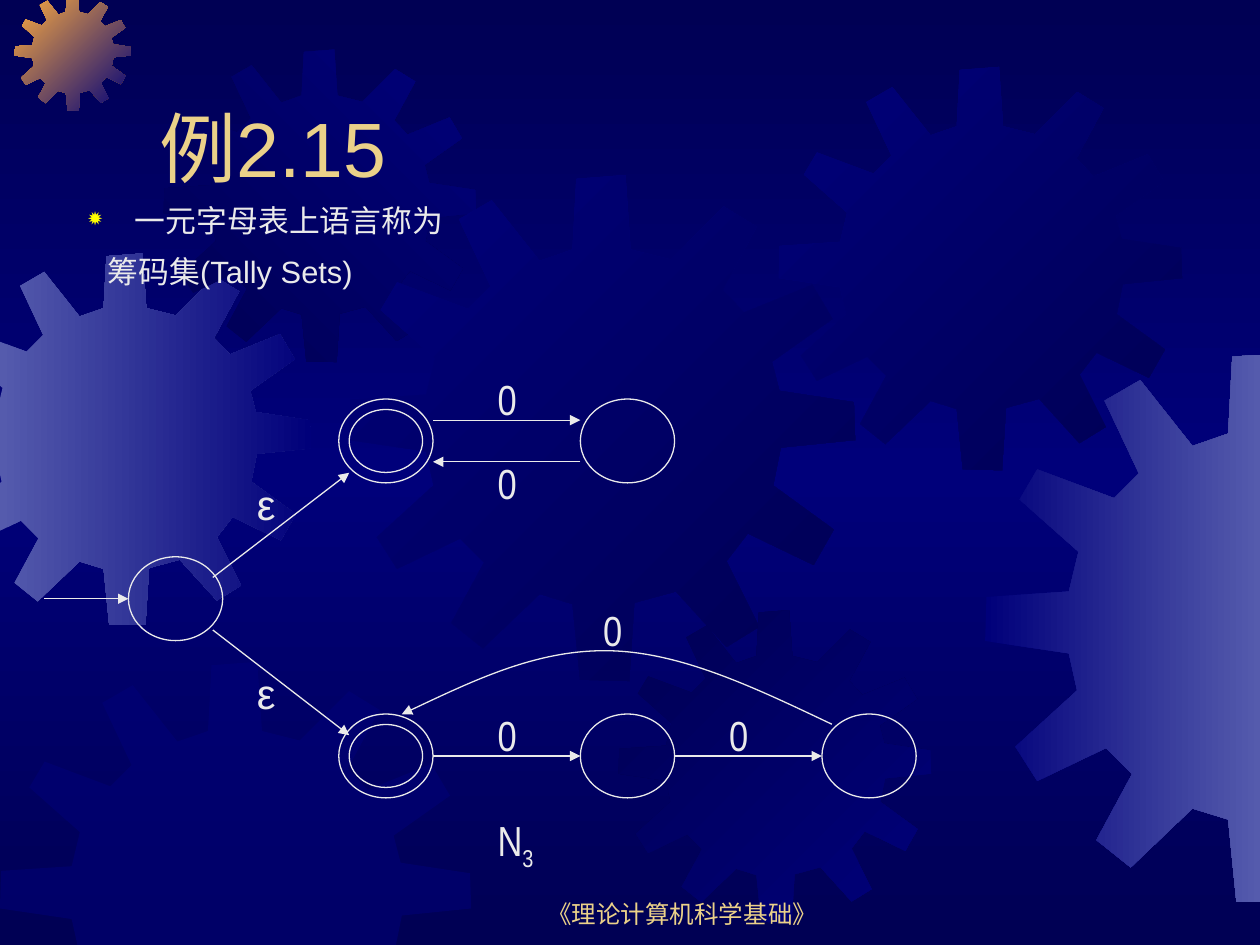
from dataclasses import dataclass

from lxml import etree
from pptx import Presentation
from pptx import util as u
from pptx.dml.color import RGBColor
from pptx.enum import shapes, text
from pptx.oxml.ns import qn

Cm = u.Cm
WIDTH, HEIGHT = 25.4, 19.05

# Gear outline in units of 1/401 of its size
GEAR_UNITS = 401
GEAR = [
    (255, 67), (223, 59), (219, 0), (180, 3), (177, 59), (151, 68), (113, 20), (87, 35),
    (112, 88), (94, 106), (38, 85), (25, 107), (68, 145), (61, 174), (1, 178), (0, 210),
    (61, 219), (67, 246), (22, 287), (38, 312), (88, 288), (107, 307), (81, 355), (106, 375),
    (151, 332), (177, 340), (183, 400), (222, 401), (226, 339), (259, 330), (299, 374), (325, 358),
    (299, 306), (316, 284), (368, 309), (384, 281), (336, 246), (342, 216), (401, 210), (400, 180),
    (341, 171), (335, 148), (383, 114), (367, 87), (313, 109), (296, 91), (323, 41), (297, 25),
]


@dataclass(frozen=True)
class Theme:
    night: str = "000054"
    blue: str = "00007A"
    haze: str = "555BAD"
    orange: str = "FCAB40"
    gold: str = "EBD189"
    ink: str = "EAEAEA"
    bullet: str = "FFFF00"
    font: str = "Arial"
    narrow: str = "Arial Narrow"
    title: float = 44
    label: float = 24
    body: float = 17.6
    footer: float = 14
    line: float = 0.75


def clip(points, axis, limit, sign):
    """Keep the part of a polygon where sign * (coordinate - limit) >= 0."""
    kept = []
    for a, b in zip(points, points[1:] + points[:1]):
        da, db = sign * (a[axis] - limit), sign * (b[axis] - limit)
        if da >= 0:
            kept.append(a)
        if da * db < 0:
            t = da / (da - db)
            kept.append(tuple(p + t * (q - p) for p, q in zip(a, b)))
    return kept


class Deck:
    def __init__(self, theme):
        self.theme = theme
        self.prs = Presentation()
        self.prs.slide_width, self.prs.slide_height = Cm(WIDTH), Cm(HEIGHT)
        self.slide = self.prs.slides.add_slide(self.prs.slide_layouts[6])
        self.shapes = self.slide.shapes

    def gradient(self, fill, colours, angle):
        fill.gradient()
        fill.gradient_angle = -angle % 360
        for stop, colour, position in zip(fill.gradient_stops, colours, (0, 1)):
            stop.color.rgb = RGBColor.from_string(colour)
            stop.position = position

    def background(self, edge, middle):
        self.gradient(self.slide.background.fill, (edge, edge), 90)
        stops = self.slide.element.find(".//" + qn("a:gsLst"))
        centre = etree.Element(qn("a:gs"), pos="50000")
        etree.SubElement(centre, qn("a:srgbClr"), val=middle)
        stops.insert(1, centre)

    def outline(self, points, close):
        emu = [(Cm(x), Cm(y)) for x, y in points]
        builder = self.shapes.build_freeform(*emu[0], scale=1.0)
        builder.add_line_segments(emu[1:], close=close)
        shape = builder.convert_to_shape()
        shape.shadow.inherit = False
        return shape

    def gear(self, left, top, size, colours, angle=0):
        scale = size / GEAR_UNITS
        points = [(left + x * scale, top + y * scale) for x, y in GEAR]
        for axis, limit, sign in ((0, 0, 1), (0, WIDTH, -1), (1, 0, 1), (1, HEIGHT, -1)):
            points = clip(points, axis, limit, sign)
        gear = self.outline(points, True)
        gear.line.fill.background()
        if len(colours) == 2:
            self.gradient(gear.fill, colours, angle)
        else:  # one colour: half transparent
            gear.fill.solid()
            gear.fill.fore_color.rgb = RGBColor.from_string(colours[0])
            colour = gear.element.spPr.find(".//" + qn("a:srgbClr"))
            etree.SubElement(colour, qn("a:alpha"), val="50000")

    def stroke(self, shape, arrow=False):
        shape.line.color.rgb = RGBColor.from_string(self.theme.ink)
        shape.line.width = u.Pt(self.theme.line)
        if arrow:
            line = shape.element.spPr.find(qn("a:ln"))
            etree.SubElement(line, qn("a:tailEnd"), type="triangle")

    def ring(self, x, y, width, height):
        ring = self.shapes.add_shape(shapes.MSO_SHAPE.OVAL, Cm(x - width / 2), Cm(y - height / 2),
                                     Cm(width), Cm(height))
        ring.shadow.inherit = False
        ring.fill.background()
        self.stroke(ring)

    def state(self, x, y, accepting=False):
        self.ring(x, y, 1.9, 1.69)
        if accepting:
            self.ring(x, y, 1.48, 1.27)

    def arrow(self, x1, y1, x2, y2):
        arrow = self.shapes.add_connector(shapes.MSO_CONNECTOR.STRAIGHT, Cm(x1), Cm(y1), Cm(x2), Cm(y2))
        self.stroke(arrow, arrow=True)
        etree.SubElement(arrow.element.spPr, qn("a:effectLst"))

    def curved_arrow(self, points):
        """Start point, then three Bézier points for each piece."""
        curve = self.outline(points, False)
        curve.fill.background()
        self.stroke(curve, arrow=True)
        path = curve.element.spPr.find(".//" + qn("a:path"))
        segments = path.findall(qn("a:lnTo"))
        for i in range(0, len(segments), 3):
            bezier = etree.SubElement(path, qn("a:cubicBezTo"))
            for segment in segments[i:i + 3]:
                bezier.append(segment[0])
                path.remove(segment)

    def text(self, box, lines, size, colour, font=None, anchor=text.MSO_ANCHOR.TOP,
             align=text.PP_ALIGN.LEFT):
        frame = self.shapes.add_textbox(*map(Cm, box)).text_frame
        frame.word_wrap = True
        frame.vertical_anchor = anchor
        frame.text = "\n".join(lines)
        for paragraph in frame.paragraphs:
            paragraph.alignment = align
            for run in paragraph.runs:
                self.style(run, size, colour, font)
        return frame

    def style(self, run, size, colour, font=None):
        run.font.size = u.Pt(size)
        run.font.name = font or self.theme.font
        run.font.color.rgb = RGBColor.from_string(colour)

    def label(self, x, y, symbol, subscript=None, font=None, width=1.27):
        t = self.theme
        font = font or t.narrow
        frame = self.text((x, y, width, 1.27), [symbol], t.label, t.ink, font)
        if subscript:
            run = frame.paragraphs[0].add_run()
            run.text = subscript
            self.style(run, t.label, t.ink, font)
            run.font._element.set("baseline", "-25000")

    def body(self, box, lines):
        t = self.theme
        first, second = self.text(box, lines, t.body, t.ink).paragraphs
        props = first._p.get_or_add_pPr()
        props.set("marL", str(Cm(0.95)))
        props.set("indent", str(-Cm(0.95)))
        colour = etree.SubElement(props, qn("a:buClr"))
        etree.SubElement(colour, qn("a:srgbClr"), val=t.bullet)
        etree.SubElement(props, qn("a:buSzPct"), val="80000")
        etree.SubElement(props, qn("a:buChar"), char="✹")
        second.space_before = u.Pt(8)
        second._p.get_or_add_pPr().set("marL", str(Cm(0.4)))


def main():
    t = Theme()
    deck = Deck(t)

    # Background and gears
    deck.background(t.night, t.blue)
    deck.gear(-1.22, 5.11, 7.5, (t.haze, t.blue))
    deck.gear(0.3, -0.1, 2.33, (t.orange, t.blue), 45)
    deck.gear(3.3, 1, 6.3, (t.night, t.blue), 315)
    deck.gear(7.04, 3.53, 10.2, (t.blue, t.night), 45)
    deck.gear(0, 13.34, 9.5, (t.blue,))
    deck.gear(12.47, 12.3, 6.3, (t.night, t.blue), 45)
    deck.gear(15.7, 1.35, 8.13, (t.blue, t.night), 45)
    deck.gear(19.86, 7.11, 11.1, (t.blue, t.haze))

    # Title, body and footer
    deck.text((9.73, 17.58, 8.05, 1.27), ["《理论计算机科学基础》"], t.footer, t.gold,
              anchor=text.MSO_ANCHOR.BOTTOM, align=text.PP_ALIGN.CENTER)
    deck.text((2.97, 0.84, 21.6, 3.18), ["例2.15"], t.title, t.gold, anchor=text.MSO_ANCHOR.BOTTOM)
    deck.body((1.52, 3.94, 21.6, 2.1), ["一元字母表上语言称为", "筹码集(Tally Sets)"])

    # States of the automaton
    start_x, radius = 3.54, 0.95
    columns = [7.78 + 4.87 * i for i in range(3)]
    upper, middle, lower = 8.89, 12.07, 15.24
    deck.state(start_x, middle)
    for y, count in ((upper, 2), (lower, 3)):
        for i, x in enumerate(columns[:count]):
            deck.state(x, y, accepting=i == 0)

    # Transitions
    deck.arrow(0.89, middle, start_x - radius, middle)
    deck.arrow(4.29, 11.64, 7.04, 9.53)
    deck.arrow(4.29, 12.7, 7.04, 14.82)
    first_right, second_left = columns[0] + radius, columns[1] - radius
    deck.arrow(first_right, upper - 0.42, second_left, upper - 0.42)
    deck.arrow(second_left, upper + 0.42, first_right, upper + 0.42)
    for x1, x2 in zip(columns, columns[1:]):
        deck.arrow(x1 + radius, lower, x2 - radius, lower)
    deck.curved_arrow([(16.77, 14.6), (15.27, 13.89), (13.77, 13.16), (12.32, 13.12),
                       (10.87, 13.08), (9.5, 13.74), (8.1, 14.4)])

    # Transition labels
    for x, y in ((9.78, 7.41), (9.78, 9.1), (9.78, 14.18), (14.45, 14.18), (11.91, 12.07)):
        deck.label(x, y, "0")
    for y in (9.53, 13.34):
        deck.label(4.93, y, "ε", font=t.font, width=0.85)
    deck.label(9.78, 16.3, "N", subscript="3", width=1.48)

    deck.prs.save("out.pptx")


if __name__ == "__main__":
    main()
